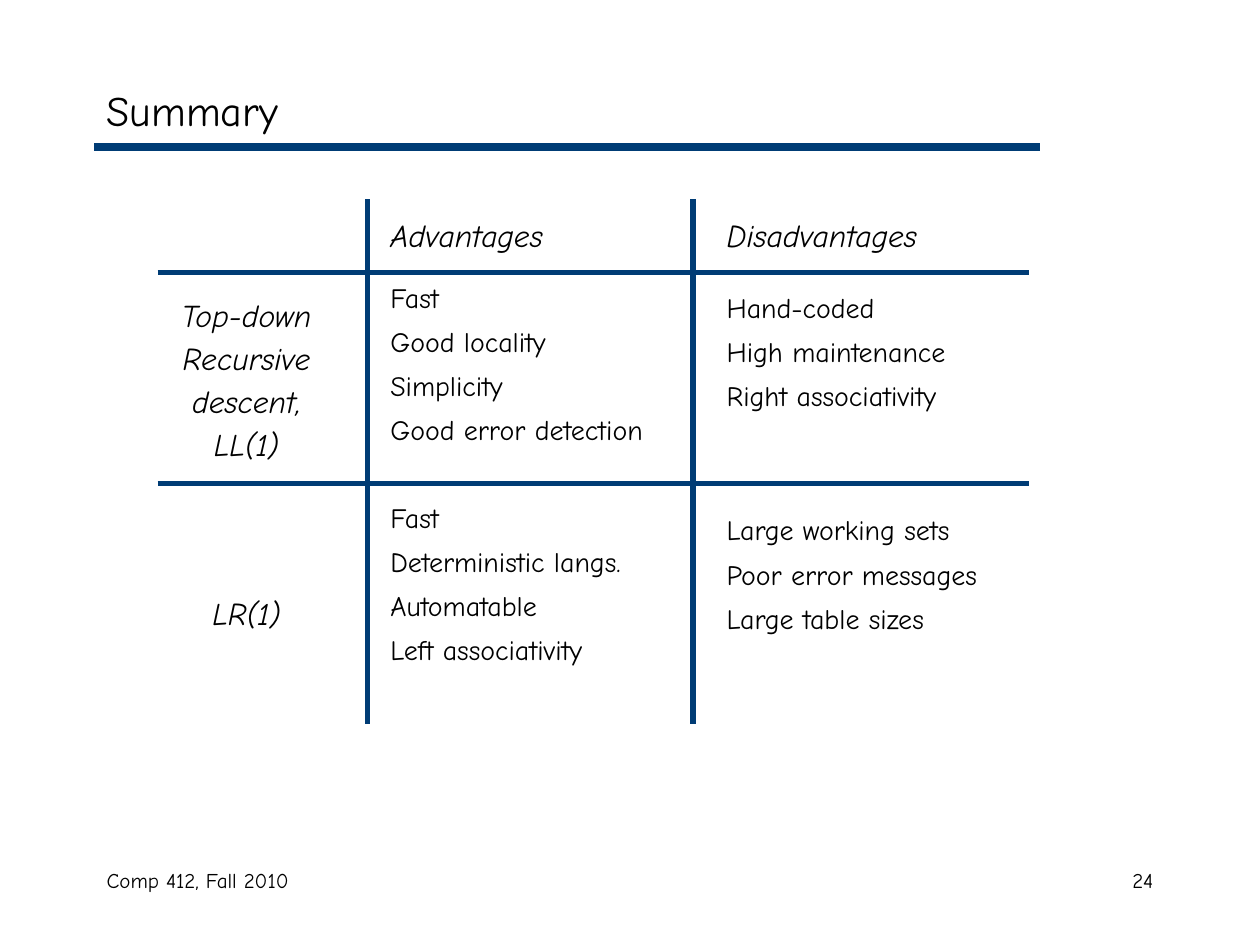
"""Build a summary slide comparing top-down and LR(1) parsers."""
from dataclasses import dataclass

from lxml import etree
from pptx import Presentation
from pptx.dml.color import RGBColor
from pptx.enum.shapes import MSO_CONNECTOR
from pptx.enum.text import MSO_ANCHOR, MSO_AUTO_SIZE, PP_ALIGN
from pptx.oxml.ns import qn
from pptx.util import Cm, Pt

LEFT, MID, RIGHT = PP_ALIGN.LEFT, PP_ALIGN.CENTER, PP_ALIGN.RIGHT
TOP, CENTER = MSO_ANCHOR.TOP, MSO_ANCHOR.MIDDLE
FIXED, GROW = MSO_AUTO_SIZE.NONE, MSO_AUTO_SIZE.SHAPE_TO_FIT_TEXT
STRAIGHT = MSO_CONNECTOR.STRAIGHT


@dataclass
class Theme:
    face: str = "Comic Neue"
    ink: RGBColor = RGBColor(0, 0, 0)
    blue: RGBColor = RGBColor(0x00, 0x3C, 0x75)
    title: int = 24
    head: int = 18
    body: int = 16
    foot: int = 12
    bar: float = 4.5
    grid: float = 3


class Deck:
    def __init__(self, theme, slide):
        self.theme, self.slide = theme, slide

    def line(self, x1, y1, x2, y2, width):
        rule = self.slide.shapes.add_connector(
            STRAIGHT, Cm(x1), Cm(y1), Cm(x2), Cm(y2))
        rule.line.color.rgb = self.theme.blue
        rule.line.width = Pt(width)
        etree.SubElement(rule._element.spPr, qn("a:effectLst"))

    def text(self, spot, rows, align=LEFT, anchor=TOP, fit=FIXED):
        frame = self.slide.shapes.add_textbox(*map(Cm, spot)).text_frame
        form = {"word_wrap": True, "auto_size": fit, "vertical_anchor": anchor}
        for key, value in form.items():
            setattr(frame, key, value)
        for i, (words, size, slant, gap) in enumerate(rows):
            para = frame.add_paragraph() if i else frame.paragraphs[0]
            para.alignment = align
            if gap:
                para.space_before = Pt(gap)
            run = para.add_run()
            run.text = words
            form = {"name": self.theme.face, "size": Pt(size), "italic": slant}
            for key, value in form.items():
                setattr(run.font, key, value)
            run.font.color.rgb = self.theme.ink

    def label(self, spot, words, size, **form):
        self.text(spot, [(words, size, False, 0)], **form)

    def column(self, spot, head, groups):
        rows = [(head, self.theme.head, True, 0)]
        for lead, items in groups:
            rows += [(item, self.theme.body, False, 6 if i else lead)
                     for i, item in enumerate(items)]
        self.text(spot, rows, fit=GROW)

    def side(self, spot, names):
        rows = [(name, self.theme.head, True, 3 if i else 0)
                for i, name in enumerate(names)]
        self.text(spot, rows, align=MID, fit=GROW)


def main():
    show = Presentation()
    show.slide_width, show.slide_height = Cm(25.4), Cm(19.05)
    theme = Theme()
    deck = Deck(theme, show.slides.add_slide(show.slide_layouts[6]))

    deck.line(1.9, 2.97, 20.96, 2.97, theme.bar)
    deck.label((1.9, 1.48, 21.6, 1.48), "Summary", theme.title, anchor=CENTER)
    deck.label((1.9, 17.36, 8.05, 1.27), "Comp 412, Fall 2010", theme.foot)
    deck.label((18.2, 17.36, 5.3, 1.27), "24", theme.foot, align=RIGHT)

    deck.column((7.62, 4.23, 6.56, 9.35), "Advantages", [
        (15, ["Fast", "Good locality", "Simplicity",
              "Good error detection"]),
        (31, ["Fast", "Deterministic langs.", "Automatable",
              "Left associativity"])])
    deck.column((14.4, 4.23, 6.56, 8.7), "Disadvantages", [
        (21, ["Hand-coded", "High maintenance", "Right associativity"]),
        (57.5, ["Large working sets", "Poor error messages",
                "Large table sizes"])])
    deck.side((2.96, 5.84, 4.02, 3.63),
              ["Top-down", "Recursive", "descent,", "LL(1)"])
    deck.side((2.96, 11.85, 4.02, 1.02), ["LR(1)"])

    for y in (5.5, 9.74):
        deck.line(3.18, y, 20.74, y, theme.grid)
    for x in (7.41, 13.97):
        deck.line(x, 4.02, x, 14.6, theme.grid)
    show.save("out.pptx")


if __name__ == "__main__":
    main()
